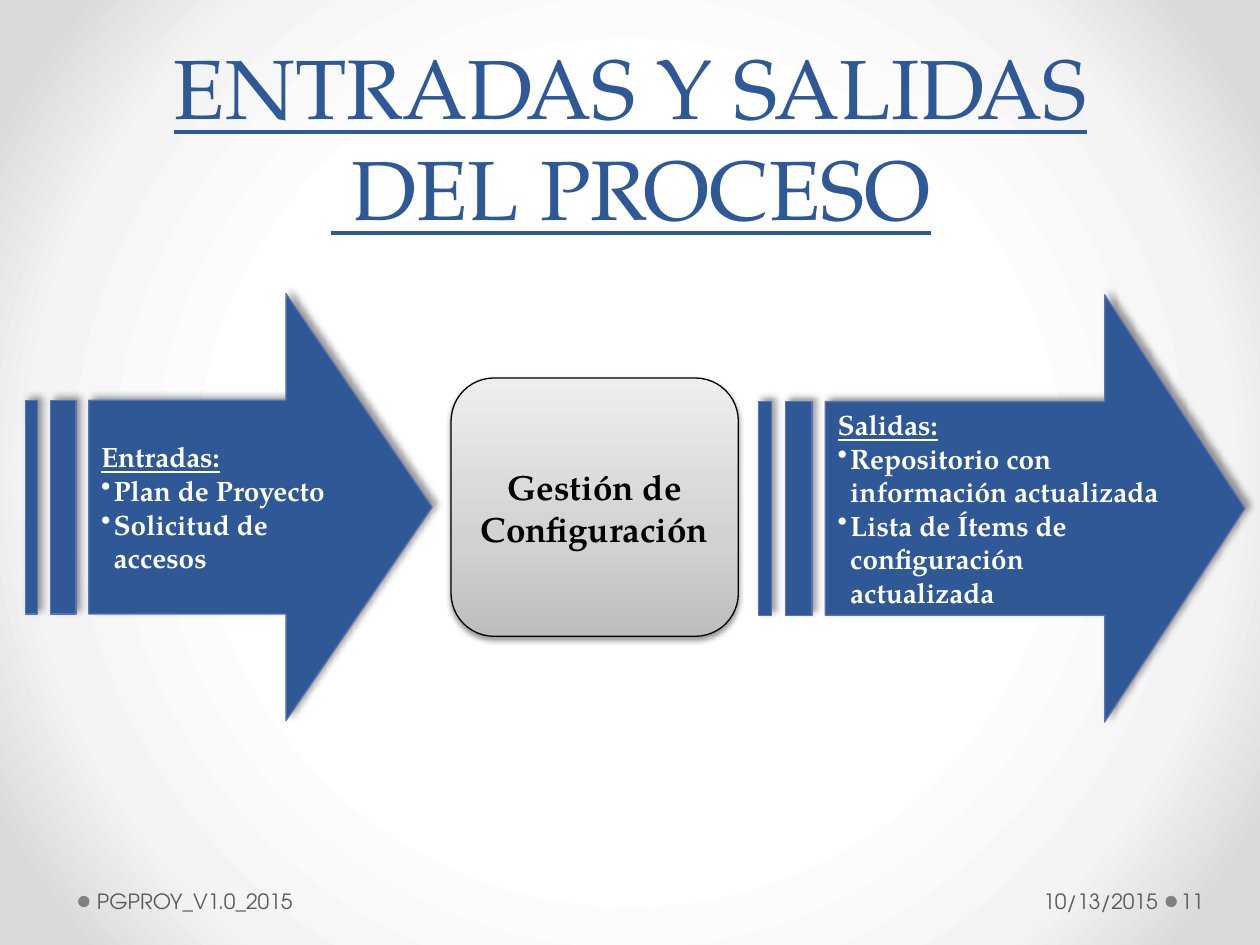
from pptx import Presentation
from pptx.dml.color import RGBColor
from pptx.enum.shapes import MSO_SHAPE as Shape
from pptx.enum.text import MSO_ANCHOR as Anchor, MSO_AUTO_SIZE as AutoSize, PP_ALIGN as Align
from pptx.oxml import parse_xml
from pptx.oxml.ns import nsdecls, qn
from pptx.util import Inches, Pt

BLUE = RGBColor(0x2F, 0x58, 0x97)
EDGE_BLUE = RGBColor(0x5C, 0x72, 0xB2)
BLACK = RGBColor(0, 0, 0)
WHITE = RGBColor(0xFF, 0xFF, 0xFF)
PALE_GRAY = RGBColor(0xF4, 0xF4, 0xF4)
EDGE_GRAY = RGBColor(0xDA, 0xDA, 0xDA)
BOX_DARK = RGBColor(0xBD, 0xBD, 0xBD)
BOX_MIDDLE = RGBColor(0xD1, 0xD1, 0xD1)
BOX_LIGHT = RGBColor(0xEE, 0xEE, 0xEE)
DOT_GRAY = RGBColor(0x80, 0x80, 0x80)
FOOTER_GRAY = RGBColor(0x59, 0x59, 0x59)

SERIF = "TeX Gyre Pagella"
SANS = "TeX Gyre Adventor"
TITLE_FONT = {"name": SERIF, "size": Pt(48), "underline": True}
ARROW_FONT = {"name": SERIF, "size": Pt(16), "bold": True}
PROCESS_FONT = {"name": SERIF, "size": Pt(20), "bold": True}
FOOTER_FONT = {"name": SANS, "size": Pt(12)}


def style_font(font, formats, color):
    for name, value in formats.items():
        setattr(font, name, value)
    font.color.rgb = color


def set_frame(frame, anchor, insets=(0.1, 0.05, 0.1, 0.05)):
    """Wrap and anchor the text; insets run left, top, right, bottom."""
    frame.word_wrap = True
    frame.auto_size = AutoSize.NONE
    frame.vertical_anchor = anchor
    for side, inset in zip(("left", "top", "right", "bottom"), insets):
        setattr(frame, f"margin_{side}", Inches(inset))


def gradient_xml(stops, direction):
    stop_xml = "".join(
        f'<a:gs pos="{percent * 1000}"><a:srgbClr val="{color}"/></a:gs>'
        for percent, color in stops)
    return (f'<a:gradFill {nsdecls("a")} rotWithShape="1">'
            f'<a:gsLst>{stop_xml}</a:gsLst>{direction}</a:gradFill>')


def set_background(slide):
    fill = gradient_xml(
        [(50, WHITE), (76, PALE_GRAY), (92, EDGE_GRAY)],
        '<a:path path="circle">'
        '<a:fillToRect l="50000" t="50000" r="50000" b="50000"/></a:path>')
    background = parse_xml(
        f'<p:bg {nsdecls("p", "a")}><p:bgPr>{fill}<a:effectLst/></p:bgPr></p:bg>')
    slide.element.find(qn("p:cSld")).insert(0, background)


def add_shadow(shape, opacity, blur, distance, angle):
    shape.shadow.inherit = False
    effects = shape.element.spPr.find(qn("a:effectLst"))
    effects.append(parse_xml(
        f'<a:outerShdw {nsdecls("a")} blurRad="{Pt(blur)}" dist="{Pt(distance)}" '
        f'dir="{angle * 60000}" algn="ctr" rotWithShape="0"><a:srgbClr val="000000">'
        f'<a:alpha val="{opacity * 1000}"/></a:srgbClr></a:outerShdw>'))


def add_bullet(paragraph):
    properties = paragraph._p.get_or_add_pPr()
    properties.set("marL", str(Inches(0.1)))
    properties.set("indent", str(-Inches(0.1)))
    properties.append(parse_xml(f'<a:buChar {nsdecls("a")} char="•"/>'))


def add_title(slide, text):
    title = slide.shapes.title
    title.left, title.top = Inches(0.28), Inches(0.19)
    title.width, title.height = Inches(9.45), Inches(1.74)
    set_frame(title.text_frame, Anchor.BOTTOM)
    title.text_frame.text = text
    paragraph = title.text_frame.paragraphs[0]
    paragraph.alignment = Align.CENTER
    for run in paragraph.runs:
        style_font(run.font, TITLE_FONT, BLUE)


def add_flow_arrow(slide, left, top, width, head, heading, items):
    """Striped arrow with an underlined heading over a bulleted list."""
    arrow = slide.shapes.add_shape(
        Shape.STRIPED_RIGHT_ARROW, Inches(left), Inches(top), Inches(width), Inches(3.39))
    arrow.adjustments[0], arrow.adjustments[1] = 0.5, head
    arrow.fill.solid()
    arrow.fill.fore_color.rgb = BLUE
    arrow.line.color.rgb = EDGE_BLUE
    arrow.line.width = Pt(0.75)
    add_shadow(arrow, 40, 4, 3, 315)
    frame = arrow.text_frame
    set_frame(frame, Anchor.MIDDLE)
    frame.text = "\n".join([heading, *items])
    for index, paragraph in enumerate(frame.paragraphs):
        paragraph.alignment = Align.LEFT
        if index:
            add_bullet(paragraph)
        style_font(paragraph.runs[0].font, {**ARROW_FONT, "underline": index == 0}, WHITE)


def add_process_box(slide, text):
    box = slide.shapes.add_shape(
        Shape.ROUNDED_RECTANGLE, Inches(3.58), Inches(3), Inches(2.28), Inches(2.05))
    box.fill.gradient()
    properties = box.element.spPr
    properties.replace(properties.find(qn("a:gradFill")), parse_xml(gradient_xml(
        [(0, BOX_DARK), (35, BOX_MIDDLE), (100, BOX_LIGHT)],
        '<a:lin ang="16200000" scaled="1"/>')))
    box.line.color.rgb = BLACK
    box.line.width = Pt(0.75)
    add_shadow(box, 38, 3.1, 1.6, 90)
    set_frame(box.text_frame, Anchor.MIDDLE)
    paragraph = box.text_frame.paragraphs[0]
    paragraph.text = text
    paragraph.alignment = Align.CENTER
    style_font(paragraph.runs[0].font, PROCESS_FONT, BLACK)


def add_footer_dot(slide, left):
    dot = slide.shapes.add_shape(
        Shape.OVAL, Inches(left), Inches(7.11), Inches(0.09), Inches(0.09))
    dot.shadow.inherit = False
    dot.fill.solid()
    dot.fill.fore_color.rgb = DOT_GRAY
    dot.line.fill.background()


def add_footer_text(slide, text, left, width, insets, alignment=Align.LEFT):
    footer = slide.shapes.add_textbox(
        Inches(left), Inches(6.95), Inches(width), Inches(0.4))
    set_frame(footer.text_frame, Anchor.MIDDLE, insets)
    paragraph = footer.text_frame.paragraphs[0]
    paragraph.text = text
    paragraph.alignment = alignment
    style_font(paragraph.runs[0].font, FOOTER_FONT, FOOTER_GRAY)


def main():
    deck = Presentation()
    deck.slide_width, deck.slide_height = Inches(10), Inches(7.5)
    slide = deck.slides.add_slide(deck.slide_layouts[0])
    subtitle = slide.placeholders[1].element
    subtitle.getparent().remove(subtitle)
    set_background(slide)

    for left in (9.25, 0.62):
        add_footer_dot(slide, left)
    add_footer_text(slide, "11", 9.34, 0.61, (0.03, 0.05, 0.05, 0.05))
    add_flow_arrow(slide, 0.2, 2.33, 3.23, 0.359, "Entradas:",
                   ["Plan de Proyecto", "Solicitud de accesos"])
    add_flow_arrow(slide, 6.02, 2.34, 3.86, 0.328, "Salidas:",
                   ["Repositorio con información actualizada",
                    "Lista de Ítems de configuración actualizada"])
    add_process_box(slide, "Gestión de Configuración")
    add_title(slide, "ENTRADAS Y SALIDAS\v DEL PROCESO")
    add_footer_text(slide, "PGPROY_V1.0_2015", 0.72, 3.96, (0.05, 0.05, 0.1, 0.05))
    add_footer_text(slide, "10/13/2015", 6.96, 2.28, (0.1, 0.05, 0.05, 0.05), Align.RIGHT)

    deck.save("out.pptx")


if __name__ == "__main__":
    main()
